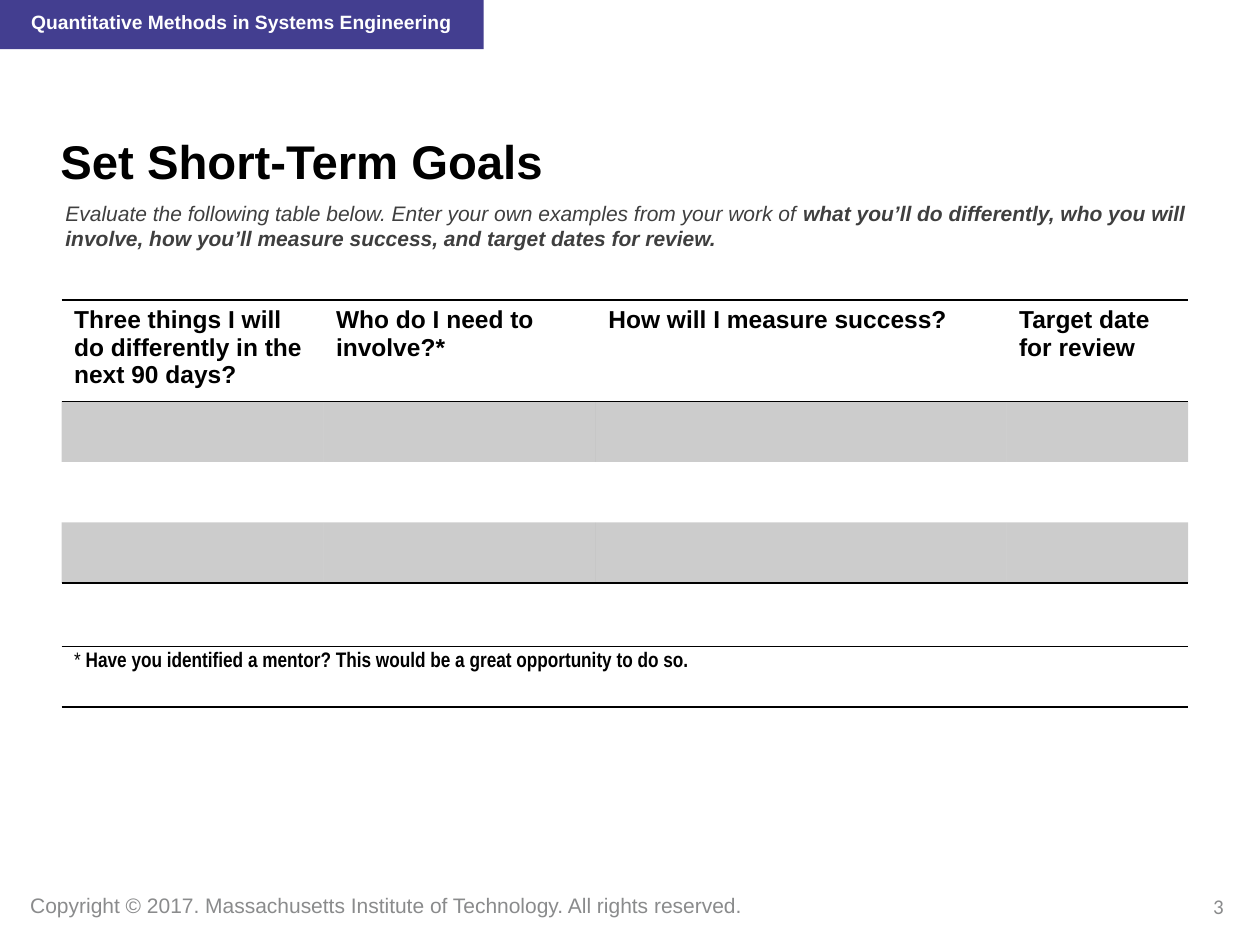
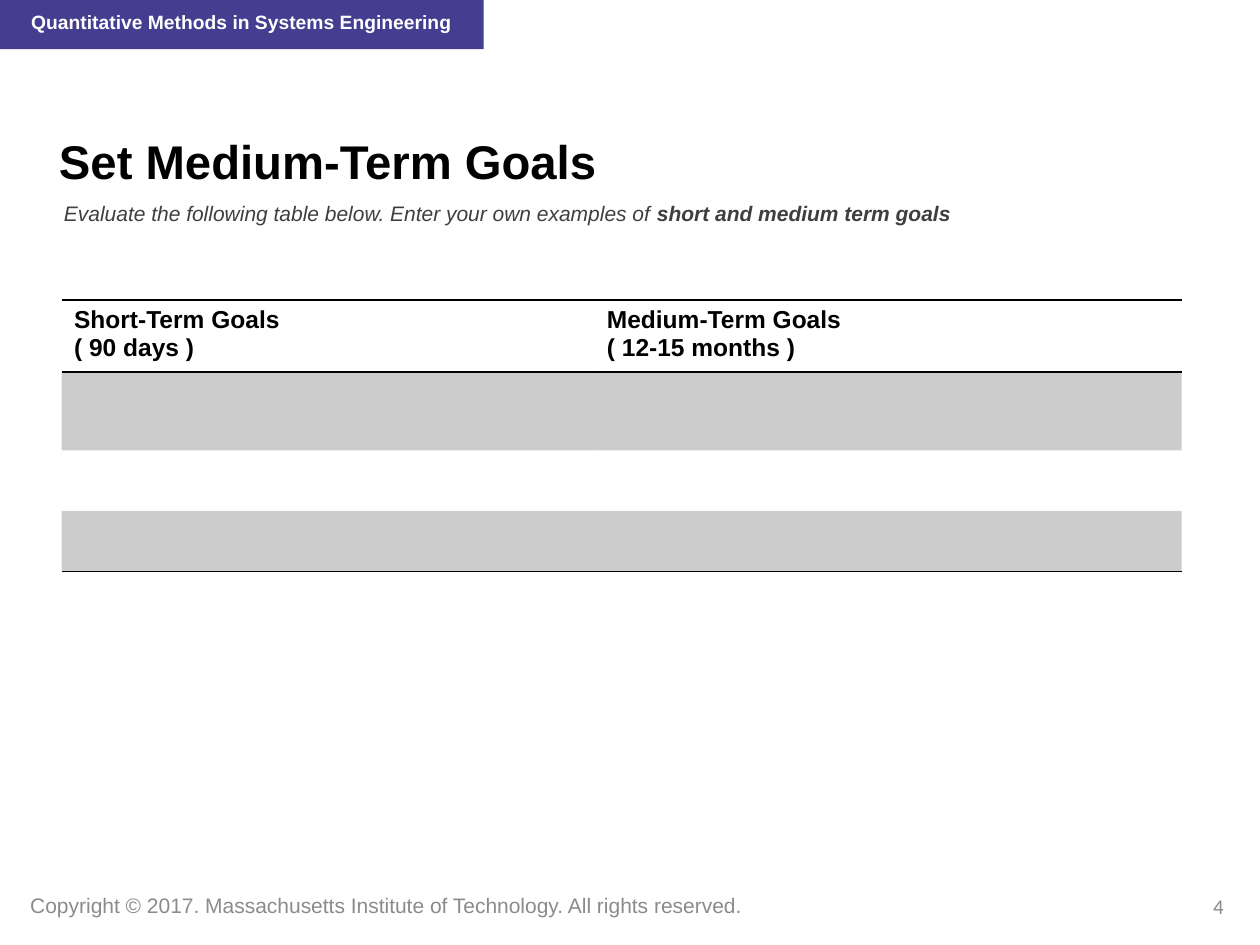
from lxml.etree import SubElement
from pptx import Presentation
from pptx.dml.color import RGBColor
from pptx.enum.shapes import MSO_SHAPE
from pptx.enum.text import MSO_ANCHOR, PP_ALIGN
from pptx.oxml.ns import qn
from pptx.util import Cm, Pt

PURPLE = RGBColor(0x43, 0x3E, 0x90)
WHITE = RGBColor(0xFF, 0xFF, 0xFF)
BLACK = RGBColor(0x00, 0x00, 0x00)
DARK_GRAY = RGBColor(0x3F, 0x3F, 0x3F)
FOOTER_GRAY = RGBColor(0x8A, 0x8B, 0x8C)

COURSE = "Quantitative Methods in Systems Engineering"
COPYRIGHT = "Copyright © 2017. Massachusetts Institute of Technology. All rights reserved."
TABLE_LEFT = 1.24
ROW_HEIGHT = 1.22


class GoalDeck:
    def __init__(self):
        self.presentation = Presentation()
        self.presentation.slide_width = Cm(25.4)
        self.presentation.slide_height = Cm(19.05)
        self.slide = None

    def start_slide(self, title, left, instruction, emphasis, number):
        self.slide = self.presentation.slides.add_slide(self.presentation.slide_layouts[6])
        self.rectangle(-0.03, 0, 9.78, 0.99, PURPLE)
        self.text(0.38, 0.08, 9.22, 0.58, COURSE, 11, WHITE, bold=True)
        self.text(0.36, 17.86, 15.11, 0.76, COPYRIGHT, 12, FOOTER_GRAY, wrap=False)
        heading = self.rectangle(left, 2.54, 21.62, 1.47, WHITE)
        self.fill_text(heading.text_frame, title, 27, BLACK, bold=True)
        subtitle = self.text(left + 0.1, 3.91, 23.44, 1.24, instruction, 12, DARK_GRAY, italic=True)
        self.add_bold_run(subtitle, emphasis)
        page = self.text(19, 17.88, 5.92, 1.02, str(number), 12, FOOTER_GRAY, "Calibri")
        page.alignment = PP_ALIGN.RIGHT

    def rectangle(self, left, top, width, height, color):
        shape = self.slide.shapes.add_shape(
            MSO_SHAPE.RECTANGLE, Cm(left), Cm(top), Cm(width), Cm(height))
        shape.shadow.inherit = False
        shape.fill.solid()
        shape.fill.fore_color.rgb = color
        shape.line.fill.background()
        return shape

    def text(self, left, top, width, height, words, size, color, font="Arial",
             bold=None, italic=None, wrap=True):
        box = self.slide.shapes.add_textbox(Cm(left), Cm(top), Cm(width), Cm(height))
        box.text_frame.word_wrap = wrap
        return self.fill_text(box.text_frame, words, size, color, font, bold, italic)

    def fill_text(self, frame, words, size, color, font="Arial", bold=None, italic=None):
        frame.vertical_anchor = MSO_ANCHOR.TOP
        paragraph = frame.paragraphs[0]
        paragraph.text = words
        paragraph.alignment = PP_ALIGN.LEFT
        paragraph.font.name = font
        paragraph.font.size = Pt(size)
        paragraph.font.color.rgb = color
        paragraph.font.bold = bold
        paragraph.font.italic = italic
        return paragraph

    def add_bold_run(self, paragraph, words):
        run = paragraph.add_run()
        run.text = words
        run.font.bold = True

    def table(self, top, widths, heights):
        frame = self.slide.shapes.add_table(
            len(heights), len(widths), Cm(TABLE_LEFT), Cm(top), Cm(sum(widths)), Cm(sum(heights)))
        table = frame.table
        table.first_row = table.horz_banding = False
        for column, width in zip(table.columns, widths):
            column.width = Cm(width)
        ruled_edges = {0, 1, len(heights)}
        for index, (row, height) in enumerate(zip(table.rows, heights)):
            row.height = Cm(height)
            for cell in row.cells:
                self.rule(cell, index in ruled_edges, index + 1 in ruled_edges)
                self.shade(cell, index % 2 == 1)
        return table

    def rule(self, cell, above, below):
        properties = cell._tc.get_or_add_tcPr()
        for side, ruled in (("L", False), ("R", False), ("T", above), ("B", below)):
            line = SubElement(properties, qn(f"a:ln{side}"), w=str(Pt(1)))
            if ruled:
                fill = SubElement(line, qn("a:solidFill"))
                SubElement(fill, qn("a:srgbClr"), val=str(BLACK))
            else:
                SubElement(line, qn("a:noFill"))

    def shade(self, cell, shaded):
        if not shaded:
            cell.fill.background()
            return
        cell.fill.solid()
        cell.fill.fore_color.rgb = BLACK
        color = cell._tc.tcPr.find(f"{qn('a:solidFill')}/{qn('a:srgbClr')}")
        SubElement(color, qn("a:alpha"), val="20000")

    def goal_table(self, headers, widths, heights):
        table = self.table(6.05, widths, heights)
        for cell, header in zip(table.rows[0].cells, headers):
            self.fill_text(cell.text_frame, header, 14, BLACK, bold=True)

    def mentor_note(self, top, width, mark, words):
        cell = self.table(top, [width], [ROW_HEIGHT]).cell(0, 0)
        paragraph = self.fill_text(cell.text_frame, mark, 12, BLACK, "Arial Narrow")
        self.add_bold_run(paragraph, words)


def main():
    deck = GoalDeck()

    deck.start_slide(
        "Set Short-Term Goals", 0.97,
        "Evaluate the following table below. Enter your own examples from your work of ",
        "what you’ll do differently, who you will involve, how you’ll measure success, "
        "and target dates for review.", 3)
    short_term_widths = [5.28, 5.49, 8.28, 3.66]
    deck.goal_table(
        ["Three things I will do differently in the next 90 days?", "Who do I need to involve?*",
         "How will I measure success?", "Target date for review"],
        short_term_widths, [2.04] + [ROW_HEIGHT] * 3)
    deck.mentor_note(
        13.03, sum(short_term_widths), "* ",
        "Have you identified a mentor? This would be a great opportunity to do so.")

    deck.start_slide(
        "Set Medium-Term Goals", 0.94,
        "Evaluate the following table below. Enter your own examples of ",
        "short and medium term goals", 4)
    deck.goal_table(
        ["Short-Term Goals \n( 90 days )", "Medium-Term Goals \n( 12-15 months )"],
        [10.74, 11.84], [1.45, 1.58, ROW_HEIGHT, ROW_HEIGHT])

    deck.presentation.save("out.pptx")


if __name__ == "__main__":
    main()
